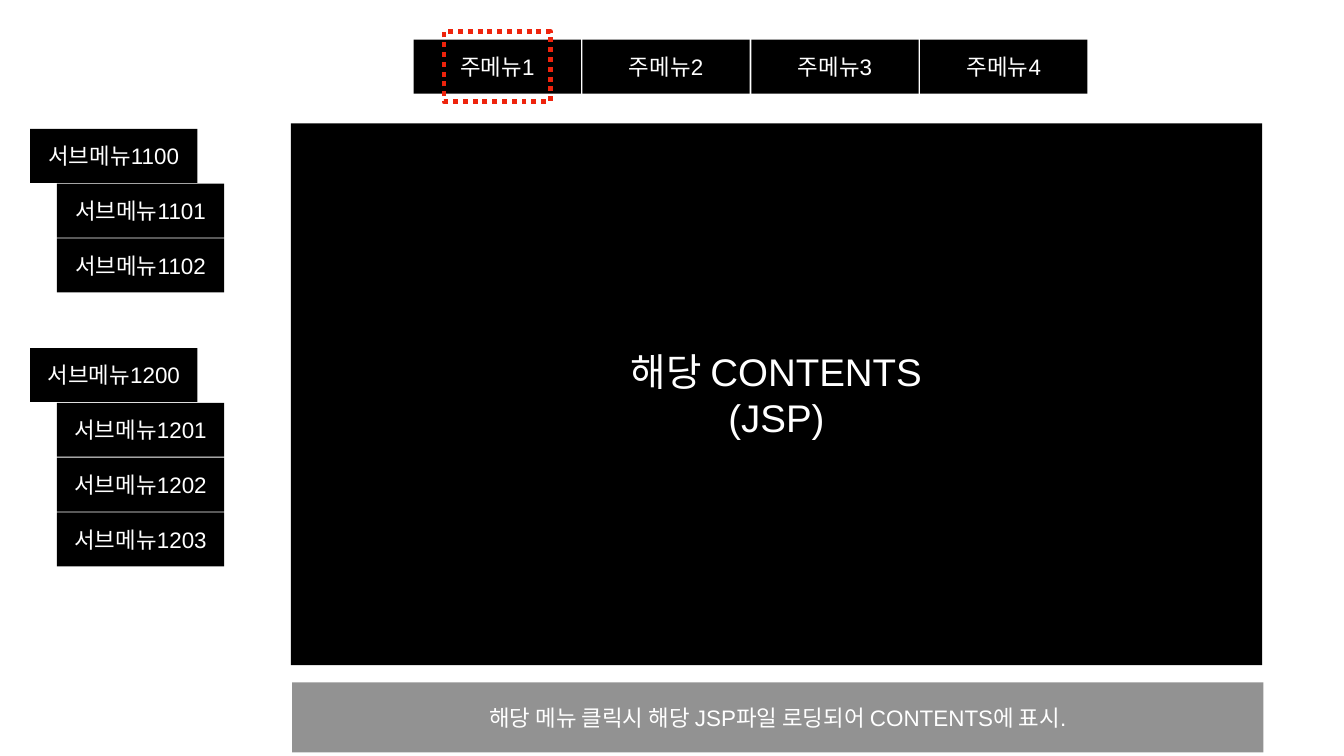
from pptx import Presentation
from pptx.dml.color import RGBColor
from pptx.enum import dml, shapes, text
from pptx.util import Cm, Pt

BLACK = RGBColor(0x00, 0x00, 0x00)
GRAY = RGBColor(0x92, 0x92, 0x92)
WHITE = RGBColor(0xFF, 0xFF, 0xFF)
RED = RGBColor(0xEE, 0x23, 0x0C)

BUTTON_W, BUTTON_H = 8.43, 2.72
MAIN_LEFT, MAIN_TOP, MAIN_PITCH = 20.85, 2, 8.51
SUB_LEFT, SUB_TOP, SUB_PITCH, SUB_INDENT = 1.52, 6.5, 2.76, 1.35

MAIN_MENUS = ["주메뉴1", "주메뉴2", "주메뉴3", "주메뉴4"]
SUB_MENUS = [
    ["서브메뉴1100", "서브메뉴1101", "서브메뉴1102"],
    ["서브메뉴1200", "서브메뉴1201", "서브메뉴1202", "서브메뉴1203"],
]


def add_rect(slide, left, top, width, height):
    sp = slide.shapes.add_shape(shapes.MSO_SHAPE.RECTANGLE,
                                Cm(left), Cm(top), Cm(width), Cm(height))
    sp.shadow.inherit = False
    return sp


def add_box(slide, left, top, width, height, lines, color=BLACK, size=32):
    """Add a borderless filled box with one centred paragraph per line."""
    sp = add_rect(slide, left, top, width, height)
    sp.fill.solid()
    sp.fill.fore_color.rgb = color
    sp.line.fill.background()
    tf = sp.text_frame
    tf.word_wrap = True
    tf.vertical_anchor = text.MSO_ANCHOR.MIDDLE
    tf.margin_left = tf.margin_right = tf.margin_top = tf.margin_bottom = Cm(0.15)
    tf.text = "\n".join(lines)
    for p in tf.paragraphs:
        p.alignment = text.PP_ALIGN.CENTER
        p.font.name = "Arial"
        p.font.size = Pt(size)
        p.font.color.rgb = WHITE


def add_button(slide, left, top, label):
    add_box(slide, left, top, BUTTON_W, BUTTON_H, [label])


def add_main_menu(slide):
    for i, label in enumerate(MAIN_MENUS):
        add_button(slide, MAIN_LEFT + i * MAIN_PITCH, MAIN_TOP, label)


def add_sub_menus(slide):
    """Stack the groups on one row grid, with an empty row between them."""
    row = 0
    for group in SUB_MENUS:
        for i, label in enumerate(group):
            left = SUB_LEFT + (SUB_INDENT if i else 0)
            add_button(slide, left, SUB_TOP + row * SUB_PITCH, label)
            row += 1
        row += 1


def add_selection_frame(slide):
    sp = add_rect(slide, 22.38, 1.6, 5.36, 3.53)
    sp.fill.background()
    sp.line.color.rgb = RED
    sp.line.width = Pt(7)
    sp.line.dash_style = dml.MSO_LINE.ROUND_DOT  # stored as sysDot


def main():
    prs = Presentation()
    prs.slide_width, prs.slide_height = Cm(67.74), Cm(38.1)
    slide = prs.slides.add_slide(prs.slide_layouts[6])

    add_main_menu(slide)
    add_box(slide, 14.66, 6.22, 48.95, 27.3, ["해당 CONTENTS", "(JSP)"], size=55)
    add_box(slide, 14.73, 34.39, 48.95, 3.53,
            ["해당 메뉴 클릭시 해당 JSP파일 로딩되어 CONTENTS에 표시."], color=GRAY)
    add_selection_frame(slide)
    add_sub_menus(slide)

    prs.save("out.pptx")


if __name__ == "__main__":
    main()
